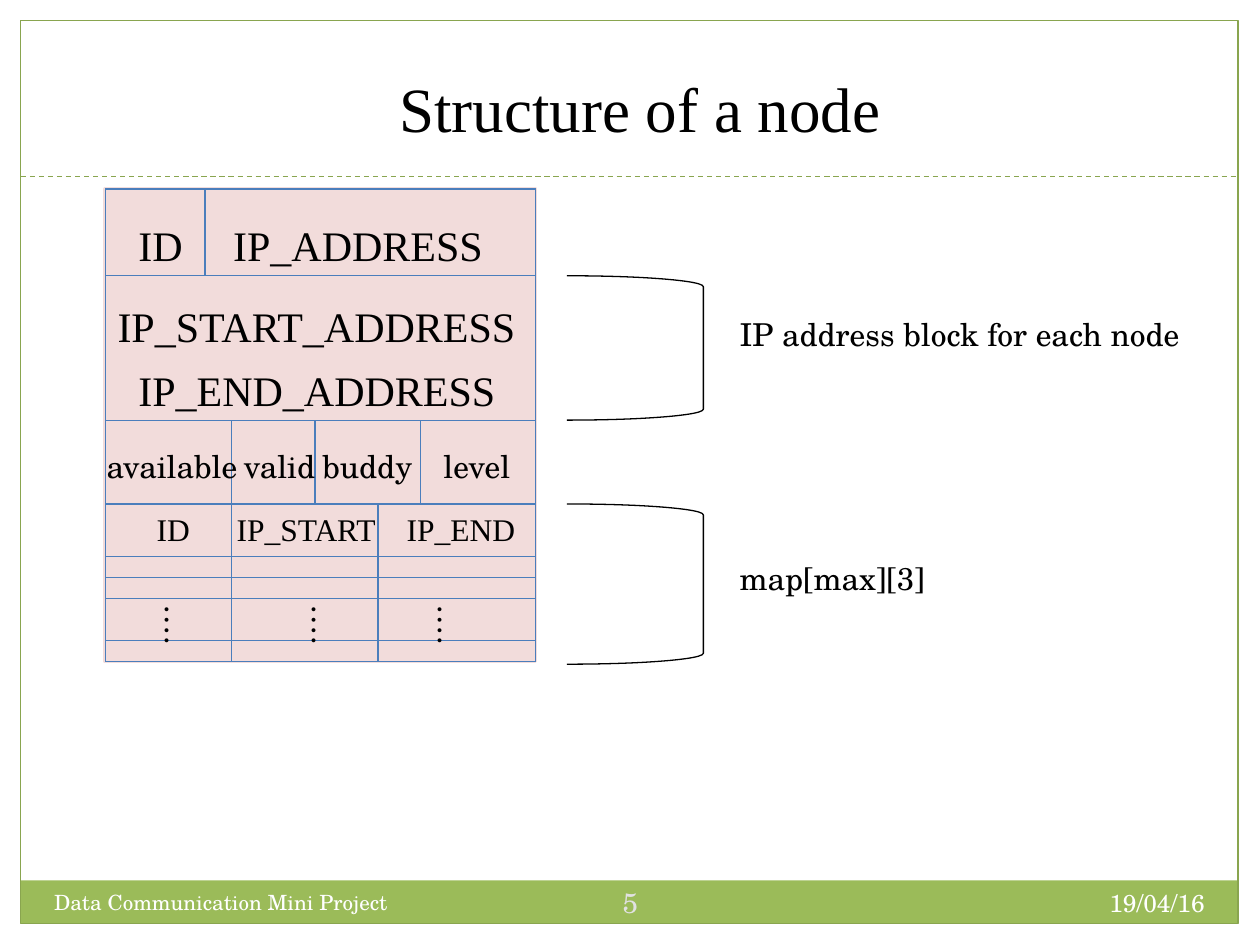
from dataclasses import dataclass

from lxml import etree
from pptx import Presentation
from pptx.dml.color import RGBColor
from pptx.enum.dml import MSO_LINE
from pptx.enum.shapes import MSO_CONNECTOR, MSO_SHAPE
from pptx.enum.text import MSO_ANCHOR, PP_ALIGN
from pptx.oxml.ns import qn
from pptx.util import Cm, Pt

STRAIGHT = MSO_CONNECTOR.STRAIGHT
RECTANGLE = MSO_SHAPE.RECTANGLE
RIGHT_BRACKET = MSO_SHAPE.RIGHT_BRACKET
DASH = MSO_LINE.DASH
TOP, MIDDLE = MSO_ANCHOR.TOP, MSO_ANCHOR.MIDDLE
LEFT, CENTER, RIGHT = PP_ALIGN.LEFT, PP_ALIGN.CENTER, PP_ALIGN.RIGHT


@dataclass(frozen=True)
class Theme:
    serif: str = "Times New Roman"
    school: str = "TeX Gyre Schola"
    black: str = "000000"
    white: str = "FFFFFF"
    pale: str = "E1E1E1"
    green: str = "9BBB59"
    dark_green: str = "89A54F"
    pink: str = "F2DCDB"
    blue: str = "4B7EBC"
    title: float = 36
    field: float = 24
    body: float = 18
    number: float = 16
    date: float = 14
    footer: float = 12
    thin: float = 0.75
    thick: float = 2


THEME = Theme()


@dataclass(frozen=True)
class Label:
    """A text box; lengths in centimetres."""
    text: str
    left: float
    top: float
    width: float
    height: float
    size: float = THEME.body
    font: str = THEME.school
    color: str = THEME.black
    align: PP_ALIGN = LEFT
    anchor: MSO_ANCHOR = TOP
    side_inset: float = 0.25
    vertical: bool = False


@dataclass(frozen=True)
class Band:
    """A row of the node and the dividers that cross it."""
    top: float
    bottom: float
    dividers: tuple[float, ...]


# Node geometry in centimetres
NODE_LEFT, NODE_RIGHT = 2.12, 10.8
NODE_TOP, RANGE_TOP, FLAGS_TOP, MAP_TOP, NODE_BOTTOM = 3.81, 5.56, 8.47, 10.16, 13.34
MAP_RULES = (11.22, 11.64, 12.06, 12.91)
BANDS = (
    Band(NODE_TOP, RANGE_TOP, (4.13,)),
    Band(FLAGS_TOP, MAP_TOP, (4.66, 6.35, 8.47)),
    Band(MAP_TOP, NODE_BOTTOM, (4.66, 7.62)),
)
BRACKETS = ((RANGE_TOP, FLAGS_TOP), (MAP_TOP, 13.39))

FRAME_LABELS = (
    Label("19/04/16", 16.08, 17.78, 8.46, 1.02, THEME.date, color=THEME.white, align=RIGHT),
    Label("Data Communication Mini Project", 0.84, 17.8, 9.96, 1.02, THEME.footer,
          color=THEME.white),
    Label("5", 11.86, 17.58, 1.7, 1.22, THEME.number, color=THEME.pale,
          align=CENTER, anchor=MIDDLE, side_inset=0.13),
    Label("Structure of a node", 2.74, 1.27, 20.32, 1.78, THEME.title, THEME.serif,
          align=CENTER),
)
FIELD_LABELS = tuple(
    Label(text, left, top, width, 1.27, THEME.field, THEME.serif)
    for text, left, top, width in (
        ("ID", 2.54, 4.29, 1.6),
        ("IP_ADDRESS", 4.45, 4.29, 5.92),
        ("IP_START_ADDRESS", 2.12, 5.92, 8.7),
        ("IP_END_ADDRESS", 2.54, 7.21, 8.26),
    )
)
FLAG_LABELS = tuple(
    Label(text, left, 8.89, width, 1.02)
    for text, left, width in (
        ("available", 1.9, 3.38), ("valid", 4.66, 2), ("buddy", 6.25, 2.44), ("level", 8.69, 2.11),
    )
)
MAP_LABELS = tuple(
    Label(text, left, MAP_TOP, width, 1.02, font=THEME.serif)
    for text, left, width in (
        ("ID", 2.91, 1.6), ("IP_START", 4.52, 3.4), ("IP_END", 7.95, 2.85),
    )
)
DOT_LABELS = tuple(
    Label("….", left, 12.06, 1.27, 1.27, vertical=True) for left in (2.95, 5.92, 8.46)
)
NOTE_LABELS = (
    Label("IP address block for each node", 14.66, 6.22, 9.68, 1.78),
    Label("map[max][3]", 14.66, 11.13, 4.6, 1.78),
)


def add_line(slide, x1: float, y1: float, x2: float, y2: float, color: str = THEME.blue,
             dashed: bool = False) -> None:
    connector = slide.shapes.add_connector(STRAIGHT, Cm(x1), Cm(y1), Cm(x2), Cm(y2))
    connector.line.color.rgb = RGBColor.from_string(color)
    connector.line.width = Pt(THEME.thin)
    if dashed:
        connector.line.dash_style = DASH
    etree.SubElement(connector._element.spPr, qn("a:effectLst"))


def add_box(slide, kind: MSO_SHAPE, left: float, top: float, width: float, height: float,
            fill: str | None = None, line: str | None = None, weight: float = THEME.thin):
    shape = slide.shapes.add_shape(kind, Cm(left), Cm(top), Cm(width), Cm(height))
    shape.shadow.inherit = False
    if fill:
        shape.fill.solid()
        shape.fill.fore_color.rgb = RGBColor.from_string(fill)
    else:
        shape.fill.background()
    if line:
        shape.line.color.rgb = RGBColor.from_string(line)
        shape.line.width = Pt(weight)
    else:
        shape.line.fill.background()
    return shape


def add_label(slide, label: Label) -> None:
    box = slide.shapes.add_textbox(Cm(label.left), Cm(label.top), Cm(label.width), Cm(label.height))
    text_frame = box.text_frame
    text_frame.text = label.text
    text_frame.word_wrap = True
    text_frame.vertical_anchor = label.anchor
    text_frame.margin_left = text_frame.margin_right = Cm(label.side_inset)
    text_frame.margin_top = text_frame.margin_bottom = Cm(0.13)
    if label.vertical:
        text_frame._txBody.bodyPr.set("vert", "vert")
    paragraph = text_frame.paragraphs[0]
    paragraph.alignment = label.align
    font = paragraph.runs[0].font
    font.name, font.size = label.font, Pt(label.size)
    font.color.rgb = RGBColor.from_string(label.color)


def draw_frame(slide) -> None:
    add_line(slide, 0.42, 3.56, 24.98, 3.56, THEME.dark_green, dashed=True)
    add_box(slide, RECTANGLE, 0.42, 17.75, 24.54, 0.86, fill=THEME.green)
    add_box(slide, RECTANGLE, 0.42, 0.42, 24.54, 18.2, line=THEME.dark_green)


def draw_node(slide) -> None:
    add_box(slide, RECTANGLE, NODE_LEFT, NODE_TOP, NODE_RIGHT - NODE_LEFT,
            NODE_BOTTOM - NODE_TOP, THEME.pink, THEME.pink, THEME.thick)
    for y in (NODE_TOP, RANGE_TOP, FLAGS_TOP, MAP_TOP, *MAP_RULES, NODE_BOTTOM):
        add_line(slide, NODE_LEFT, y, NODE_RIGHT, y)
    for x in (NODE_LEFT, NODE_RIGHT):
        add_line(slide, x, NODE_TOP, x, NODE_BOTTOM)
    for band in BANDS:
        for x in band.dividers:
            add_line(slide, x, band.top, x, band.bottom)


def draw_brackets(slide) -> None:
    for top, bottom in BRACKETS:
        bracket = add_box(slide, RIGHT_BRACKET, 11.43, top, 2.75, bottom - top, line=THEME.black)
        bracket.adjustments[0] = 0.08


def main() -> None:
    presentation = Presentation()
    presentation.slide_width, presentation.slide_height = Cm(25.4), Cm(19.05)
    slide = presentation.slides.add_slide(presentation.slide_layouts[6])

    # Frame, node and brackets, then all the text on top
    draw_frame(slide)
    draw_node(slide)
    draw_brackets(slide)
    for label in (*FRAME_LABELS, *FIELD_LABELS, *FLAG_LABELS, *MAP_LABELS,
                  *DOT_LABELS, *NOTE_LABELS):
        add_label(slide, label)

    presentation.save("out.pptx")


if __name__ == "__main__":
    main()
